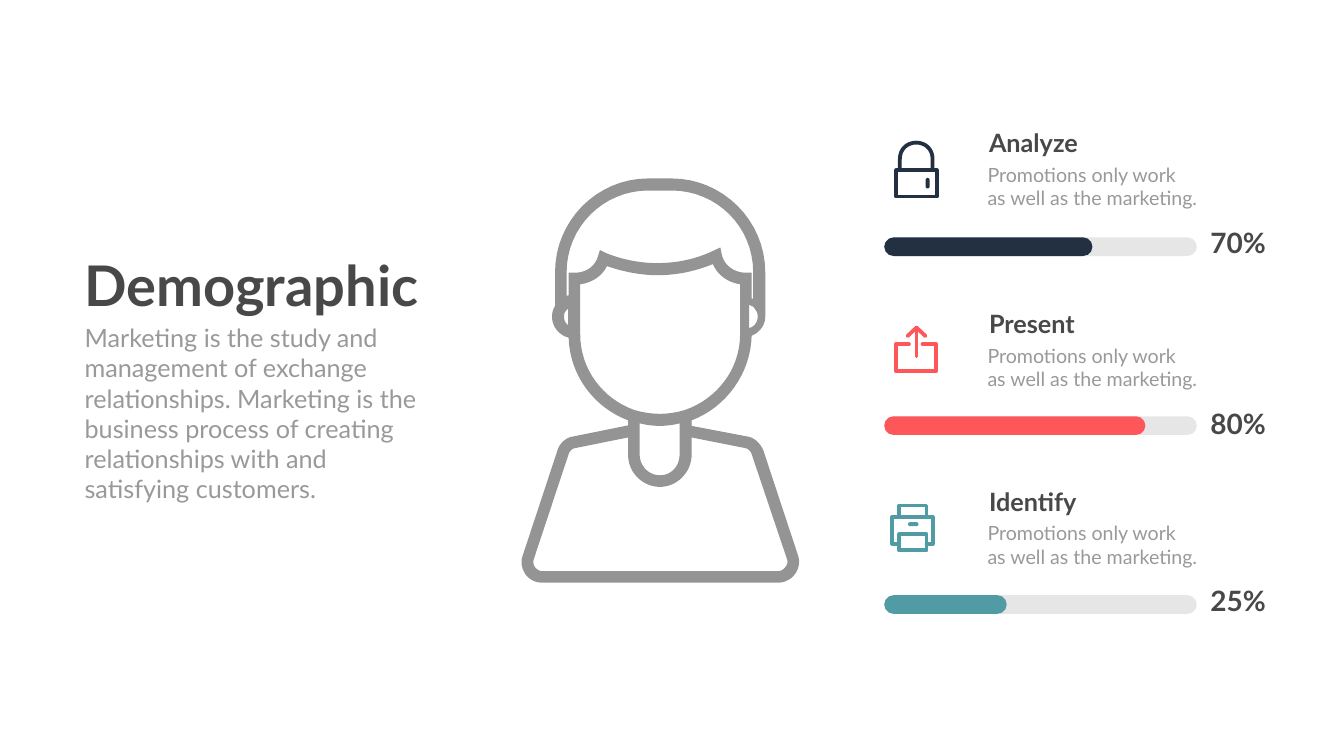
from lxml import etree
from pptx import Presentation
from pptx.dml.color import RGBColor
from pptx.enum.shapes import MSO_SHAPE
from pptx.enum.text import MSO_ANCHOR, MSO_AUTO_SIZE, PP_ALIGN
from pptx.oxml.ns import qn
from pptx.util import Inches, Pt

DARK = RGBColor(0x48, 0x48, 0x48)
SOFT = RGBColor(0x99, 0x99, 0x99)
PERSON = RGBColor(0x94, 0x94, 0x94)
TRACK = RGBColor(0xE6, 0xE6, 0xE6)
NAVY = RGBColor(0x22, 0x30, 0x42)
CORAL = RGBColor(0xFD, 0x57, 0x5A)
TEAL = RGBColor(0x50, 0x9B, 0xA4)
PILL = MSO_SHAPE.ROUNDED_RECTANGLE
TOP, LEFT, NO_FIT = MSO_ANCHOR.TOP, PP_ALIGN.LEFT, MSO_AUTO_SIZE.NONE

prs = Presentation()
prs.slide_width, prs.slide_height = Inches(26.66), Inches(15)
s = prs.slides.add_slide(prs.slide_layouts[5])


def draw(paths, color, width=None):
    """Fill paths given in inches, or stroke them; six numbers make a Bezier curve."""
    fb = None
    for path in paths:
        points = [path[0]]
        for step in path[1:]:
            ends = [points[-1], step[:2], step[2:4], step[4:]]
            if len(step) == 2:
                points.append(step)
                continue
            for t in (n / 16 for n in range(1, 17)):
                weights = ((1 - t)**3, 3 * t * (1 - t)**2, 3 * t * t * (1 - t), t**3)
                points.append(tuple(sum(w * e[axis] for w, e in zip(weights, ends))
                                    for axis in (0, 1)))
        mils = [(round(x * 1000), round(y * 1000)) for x, y in points]
        if fb is None:
            fb = s.shapes.build_freeform(*mils[0], scale=914.4)
        else:
            fb.move_to(*mils[0])
        fb.add_line_segments(mils[1:], close=width is None or mils[0] == mils[-1])
    sp = fb.convert_to_shape()
    sp.shadow.inherit = False
    if width is None:
        sp.fill.solid()
        sp.fill.fore_color.rgb = color
        sp.line.fill.background()
    else:
        sp.fill.background()
        sp.line.color.rgb = color
        sp.line.width = Pt(width)
        ln = sp.line._get_or_add_ln()
        ln.set("cap", "rnd")
        etree.SubElement(ln, qn("a:round"))


def write(sp, box, text, size, color, bold=False):
    """Place a text shape and format all its paragraphs."""
    sp.left, sp.top, sp.width, sp.height = (Inches(v) for v in box)
    tf = sp.text_frame
    tf.text = text
    tf.word_wrap, tf.auto_size, tf.vertical_anchor = True, NO_FIT, TOP
    for p in tf.paragraphs:
        p.alignment = LEFT
        for r in p.runs:
            r.font.name, r.font.size, r.font.bold = "Lato", Pt(size), bold
            r.font.color.rgb = color


# Title and introduction
write(s.shapes.title, (1.57, 4.92, 6.96, 1.45), "Demographic", 80, DARK, True)
write(s.shapes.add_textbox(0, 0, 0, 0), (1.58, 6.35, 6.95, 3.74),
      "Marketing is the study and management of exchange relationships. "
      "Marketing is the business process of creating relationships with and "
      "satisfying customers.", 36, SOFT)

# Person: a silhouette with openings for body, face, hair, ears and neck
silhouette = [
    (15.83, 11.02), (15.14, 8.93), (15.08, 8.8, 14.97, 8.68, 14.82, 8.66),
    (13.72, 8.45), (13.72, 8.34), (14.4, 8.08, 14.89, 7.42, 14.91, 6.66),
    (15.06, 6.6, 15.18, 6.46, 15.18, 6.28), (15.18, 5.4),
    (15.18, 4.38, 14.34, 3.54, 13.32, 3.54), (12.86, 3.54),
    (11.84, 3.54, 11.01, 4.38, 11.01, 5.4), (11.01, 6.07),
    (10.97, 6.14, 10.95, 6.21, 10.95, 6.28), (10.95, 6.48, 11.09, 6.65, 11.28, 6.7),
    (11.3, 7.45, 11.79, 8.09, 12.46, 8.34), (12.46, 8.44), (11.37, 8.66),
    (11.22, 8.68, 11.1, 8.8, 11.06, 8.93), (10.37, 11.02),
    (10.32, 11.14, 10.35, 11.28, 10.42, 11.39),
    (10.5, 11.5, 10.62, 11.56, 10.75, 11.56), (15.44, 11.56),
    (15.56, 11.56, 15.69, 11.5, 15.77, 11.39),
    (15.85, 11.28, 15.87, 11.14, 15.83, 11.02)]
body = [
    (15.58, 11.25), (15.54, 11.3, 15.49, 11.33, 15.44, 11.33), (10.75, 11.33),
    (10.7, 11.33, 10.65, 11.3, 10.61, 11.25),
    (10.58, 11.2, 10.57, 11.14, 10.59, 11.09), (11.28, 9.01),
    (11.3, 8.95, 11.35, 8.9, 11.41, 8.89), (12.46, 8.68), (12.46, 9.05),
    (12.47, 9.38, 12.75, 9.66, 13.09, 9.66), (13.43, 9.66, 13.7, 9.38, 13.72, 9.05),
    (13.72, 8.68), (14.78, 8.89), (14.84, 8.9, 14.89, 8.95, 14.91, 9.01),
    (15.61, 11.09), (15.63, 11.14, 15.62, 11.2, 15.58, 11.25)]
face = [
    (11.51, 6.64), (11.51, 5.64), (11.74, 5.61, 11.94, 5.48, 12.04, 5.28),
    (12.36, 5.39, 12.7, 5.46, 13.04, 5.46), (13.43, 5.46, 13.8, 5.38, 14.14, 5.24),
    (14.24, 5.46, 14.43, 5.6, 14.68, 5.64), (14.68, 6.64),
    (14.68, 7.33, 14.22, 7.91, 13.6, 8.13), (13.44, 8.18, 13.26, 8.21, 13.09, 8.21),
    (12.91, 8.21, 12.73, 8.18, 12.57, 8.13), (11.96, 7.91, 11.51, 7.33, 11.51, 6.64)]
hair = [
    (11.24, 5.4), (11.24, 4.5, 11.97, 3.78, 12.86, 3.78), (13.32, 3.78),
    (14.22, 3.78, 14.94, 4.5, 14.94, 5.4), (14.94, 5.93), (14.91, 5.92),
    (14.91, 5.41), (14.79, 5.41), (14.57, 5.41, 14.37, 5.27, 14.32, 5.06),
    (14.29, 4.91), (14.16, 4.97), (13.81, 5.14, 13.43, 5.22, 13.04, 5.22),
    (12.69, 5.22, 12.34, 5.15, 12.02, 5.02), (11.9, 4.96), (11.86, 5.09),
    (11.8, 5.29, 11.62, 5.41, 11.41, 5.41), (11.28, 5.41), (11.28, 5.86),
    (11.24, 5.87)]
right_ear = [
    (14.91, 6.49), (14.86, 6.51), (14.86, 6.05), (14.91, 6.07),
    (14.94, 6.08, 14.96, 6.1, 14.98, 6.14), (15.01, 6.17, 15.03, 6.22, 15.03, 6.28),
    (15.03, 6.38, 14.98, 6.45, 14.91, 6.49)]
left_ear = [(11.19, 6.25), (11.19, 6.21, 11.22, 6.17, 11.27, 6.12), (11.27, 6.45),
            (11.21, 6.41, 11.18, 6.34, 11.19, 6.25)]
neck = [
    (13.09, 8.45), (13.22, 8.45, 13.36, 8.43, 13.48, 8.4), (13.48, 9.04),
    (13.47, 9.26, 13.31, 9.43, 13.09, 9.43), (12.88, 9.43, 12.7, 9.26, 12.69, 9.04),
    (12.69, 8.4), (12.81, 8.43, 12.95, 8.45, 13.09, 8.45)]
draw([silhouette, body, face, hair, right_ear, left_ear, neck], PERSON)

# Icons, as line paths
lock = [[(17.78, 3.38), (18.58, 3.38), (18.58, 3.9), (17.78, 3.9), (17.78, 3.38)],
        [(17.85, 3.34), (17.85, 3.16), (17.85, 2.72, 18.5, 2.72, 18.5, 3.16),
         (18.5, 3.34)]]
tray = [[(18.03, 6.83), (17.77, 6.83), (17.77, 7.36), (18.57, 7.36),
         (18.57, 6.83), (18.3, 6.83)]]
arrow = [[(18.18, 7.07), (18.18, 6.5)], [(18, 6.67), (18.18, 6.5), (18.36, 6.67)]]
printer = [[(17.84, 10.79), (17.7, 10.79), (17.7, 10.26), (18.5, 10.26),
            (18.5, 10.79), (18.38, 10.79)],
           [(17.84, 10.26), (17.84, 10.03), (18.38, 10.03), (18.38, 10.26)],
           [(17.84, 10.6), (18.38, 10.6), (18.38, 10.92), (17.84, 10.92),
            (17.84, 10.6)]]
for icon, color in ((lock, NAVY), (tray, CORAL), (arrow, CORAL), (printer, TEAL)):
    draw(icon, color, 5.4)

# Rows: heading, note and value; pills are the icon slots and progress bars
BAR_LEFT, BAR_TOP, BAR_W, BAR_H, PITCH = 17.54, 4.71, 6.2, 0.37, 3.55
pills = [(18.36, 3.53, 0.08, 0.21, NAVY), (18.01, 10.36, 0.21, 0.08, TEAL)]
rows = [("Analyze", "70%", 4.13, NAVY, 2.48),
        ("Present", "80%", 5.18, CORAL, 6.07),
        ("Identify", "25%", 2.43, TEAL, 9.59)]
for i, (heading, value, length, color, top) in enumerate(rows):
    for width, fill in ((BAR_W, TRACK), (length, color)):
        pills.append((BAR_LEFT, BAR_TOP + i * PITCH, width, BAR_H, fill))
    for box, text, size, ink, bold in (
            ((19.52, top, 2.61, 0.71), heading, 36, DARK, True),
            ((19.49, top + 0.7, 4.85, 1.04),
             "Promotions only work\nas well as the marketing.", 28, SOFT, False),
            ((23.91, top + 1.94, 1.62, 0.77), value, 40, DARK, True)):
        write(s.shapes.add_textbox(0, 0, 0, 0), box, text, size, ink, bold)
for *box, fill in pills:
    sp = s.shapes.add_shape(PILL, *(Inches(v) for v in box))
    sp.adjustments[0] = 0.5
    sp.shadow.inherit = False
    sp.fill.solid()
    sp.fill.fore_color.rgb = fill
    sp.line.fill.background()

prs.save("out.pptx")
